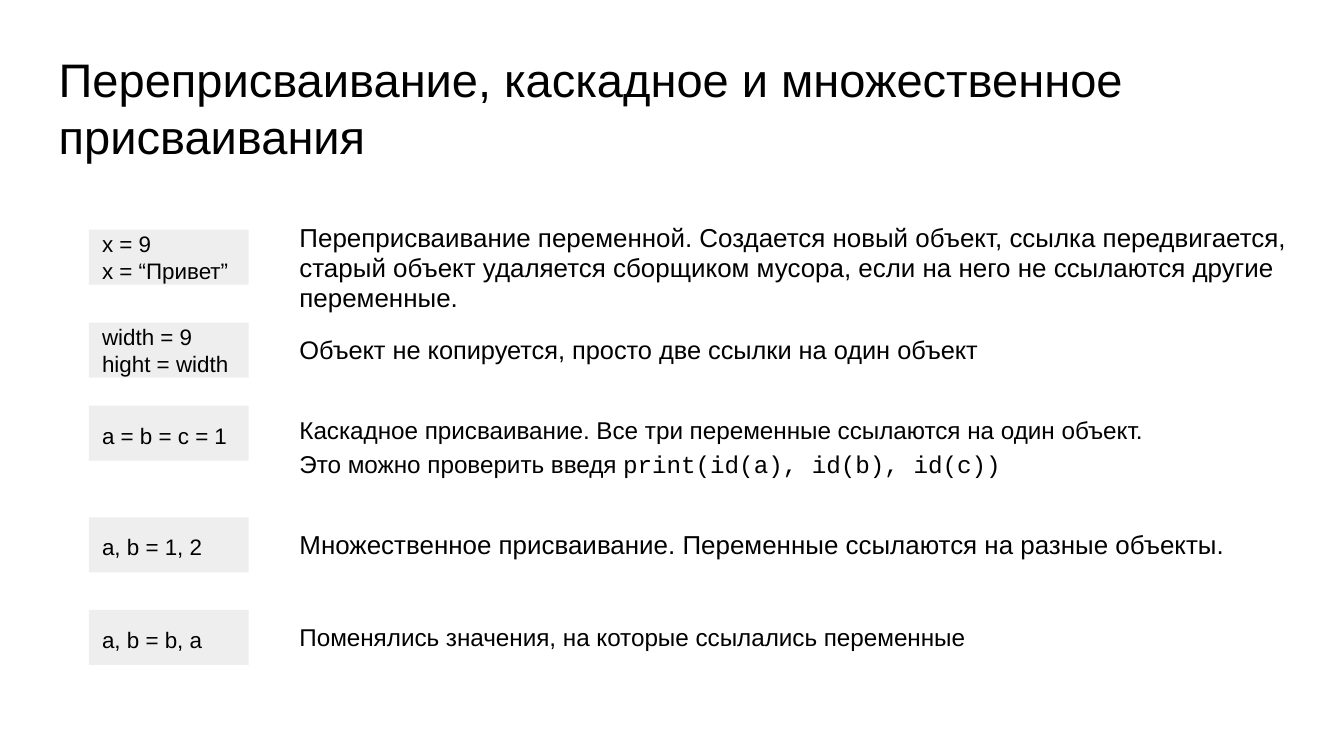
from dataclasses import dataclass
from pptx import Presentation
from pptx.dml.color import RGBColor as Rgb
from pptx.enum.shapes import MSO_SHAPE as Kind
from pptx.enum.text import MSO_ANCHOR as Anchor, PP_ALIGN as Align
from pptx.util import Cm, Pt


@dataclass(frozen=True)
class Theme:
    ink: Rgb = Rgb(0, 0, 0)
    gray: Rgb = Rgb(0xEE, 0xEE, 0xEE)
    sans: str = "Arial"
    mono: str = "Courier New"
    title: float = 25.2
    code: float = 12
    pad: float = 0.25


THEME = Theme()
CODE_X, CODE_W, CODE_H = 1.68, 3.02, 1.04
NOTE_X = 5.41

# code, code top, code spacing, note, top, width, height, size, spacing
ROWS = [
    ("х = 9\nх = “Привет”", 4.34, 1,
     "Переприсваивание переменной. Создается новый объект, ссылка "
     "передвигается, старый объект удаляется сборщиком мусора, если на "
     "него не ссылаются другие переменные.",
     3.99, 19.66, 2.21, 13.9, 0.95),
    ("width = 9\nhight = width", 6.1, 1,
     "Объект не копируется, просто две ссылки на один объект",
     6.1, 19.81, 1.04, 13.6, 0.95),
    ("a = b = c = 1", 7.67, 1.15,
     "Каскадное присваивание. Все три переменные ссылаются на один объект.\n"
     "Это можно проверить введя ",
     7.52, 19.81, 1.6, 13, 1.15),
    ("a, b = 1, 2", 9.78, 1.15,
     "Множественное присваивание. Переменные ссылаются на разные объекты.",
     9.78, 19.81, 1.04, 13.9, 0.95),
    ("a, b = b, a", 11.53, 1.15,
     "Поменялись значения, на которые ссылались переменные",
     11.51, 14.1, 1.07, 13, 1),
]
CHECK_ROW, CHECK = 2, "print(id(a), id(b), id(c))"


def style(run, size, face):
    font = run.font
    font.size, font.name = Pt(size), face
    font.color.rgb = THEME.ink


def fill_text(frame, text, size, gap, anchor):
    frame.word_wrap = True
    frame.vertical_anchor = anchor
    pad = Cm(THEME.pad)
    frame.margin_left = frame.margin_right = pad
    frame.margin_top = frame.margin_bottom = pad
    frame.text = text
    for para in frame.paragraphs:
        para.alignment = Align.LEFT
        para.line_spacing = gap
        for run in para.runs:
            style(run, size, THEME.sans)


def add_note(slide, text, x, y, w, h, size, gap=1):
    box = slide.shapes.add_textbox(Cm(x), Cm(y), Cm(w), Cm(h))
    fill_text(box.text_frame, text, size, gap, Anchor.TOP)
    return box.text_frame


def add_code(slide, text, y, gap):
    box = slide.shapes.add_shape(
        Kind.RECTANGLE, Cm(CODE_X), Cm(y), Cm(CODE_W), Cm(CODE_H))
    box.shadow.inherit = False
    box.fill.solid()
    box.fill.fore_color.rgb = THEME.gray
    box.line.fill.background()
    fill_text(box.text_frame, text, THEME.code, gap, Anchor.MIDDLE)


def add_mono(frame, text, size):
    run = frame.paragraphs[-1].add_run()
    run.text = text
    style(run, size, THEME.mono)


def main():
    deck = Presentation()
    deck.slide_width, deck.slide_height = Cm(25.4), Cm(14.29)
    slide = deck.slides.add_slide(deck.slide_layouts[6])
    add_note(slide, "Переприсваивание, каскадное и множественное присваивания",
             0.86, 0.71, 23.67, 1.6, THEME.title)
    for i, (code, top, lead, note, y, w, h, size, gap) in enumerate(ROWS):
        add_code(slide, code, top, lead)
        frame = add_note(slide, note, NOTE_X, y, w, h, size, gap)
        if i == CHECK_ROW:
            add_mono(frame, CHECK, size)
    deck.save("out.pptx")


if __name__ == "__main__":
    main()
